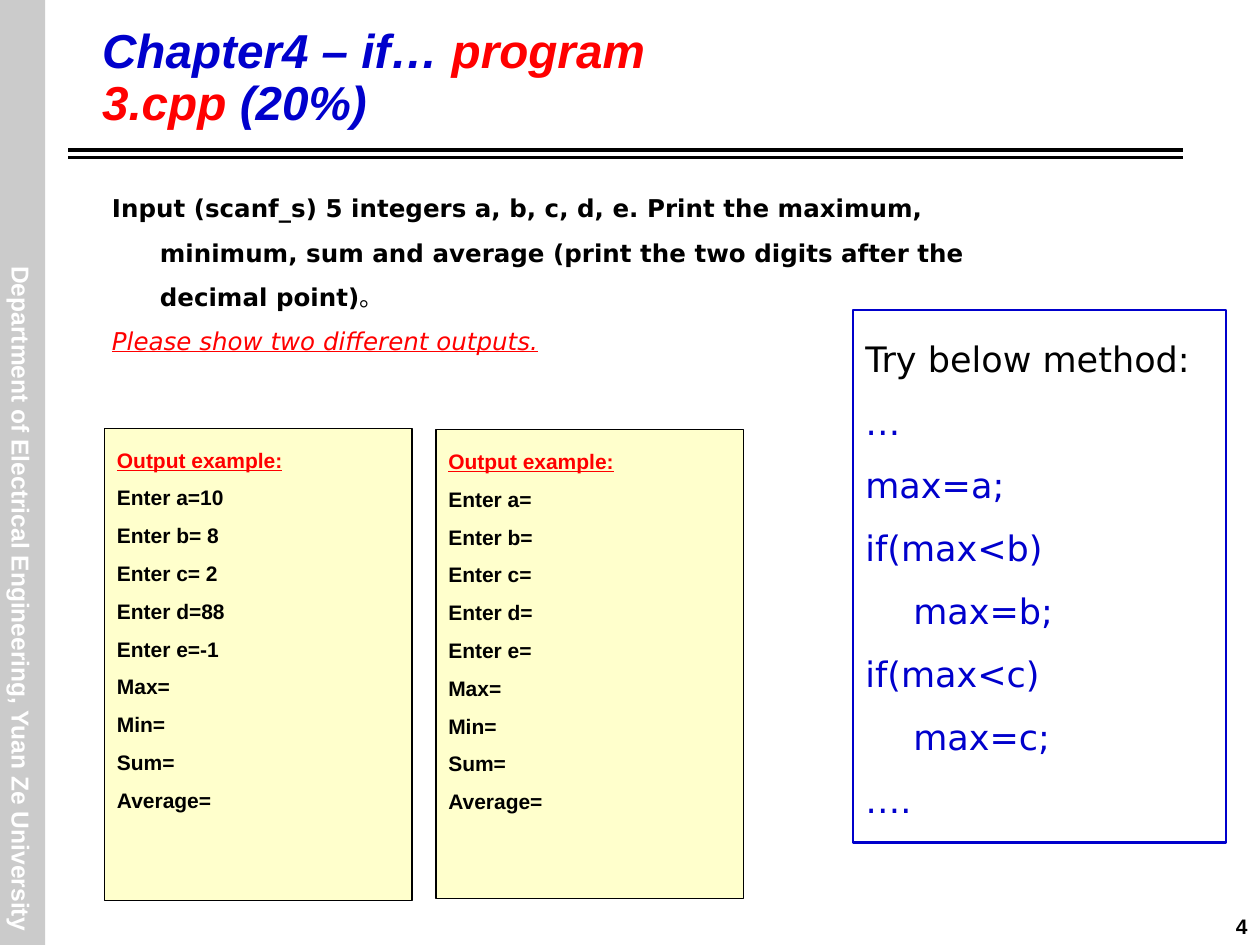
from pptx import Presentation
from pptx import util as u
from pptx.dml.color import RGBColor
from pptx.enum import shapes, text
from pptx.oxml.ns import qn
from lxml import etree

COLORS = {"blue": "0000CC", "red": "FF0000", "black": "000000",
          "white": "FFFFFF", "gray": "CBCBCB", "cream": "FFFFCC"}
SANS, WIDE = "Arial", "DejaVu Sans"
INDENT = 0.38

TITLE = [[("Chapter4 – if… ", "blue"), ("program", "red")],
         [("3.cpp ", "red"), ("(20%)", "blue")]]
SIDE_LABEL = "Department of Electrical Engineering, Yuan Ze University"
PAGE = "4"
TASK = ("Input (scanf_s) 5 integers a, b, c, d, e. Print the maximum, minimum, sum "
        "and average (print the two digits after the decimal point)")
TASK_END = "。"
REQUEST = "Please show two different outputs."
EXAMPLE_HEADING = "Output example:"
RESULTS = ["Max=", "Min=", "Sum=", "Average="]
EXAMPLES = [
    {"box": (0.83, 3.4, 2.44, 3.75), "inputs": ["10", " 8", " 2", "88", "-1"]},
    {"box": (3.46, 3.41, 2.44, 3.72), "inputs": [""] * 5},
]
METHOD_BOX = (6.77, 2.46, 2.96, 4.23)
METHOD_HEADING = "Try below method:"
METHOD = [("…", 0), ("max=a;", 0), ("if(max<b)", 0), ("max=b;", 1),
          ("if(max<c)", 0), ("max=c;", 1), ("….", 0)]


def color(name):
    return RGBColor.from_string(COLORS[name])


def inches(box):
    return [u.Inches(value) for value in box]


def style(run, size, name, font=SANS, bold=False, italic=False, underline=False):
    run.font.size = u.Pt(size)
    run.font.name = font
    run.font.bold = bold
    run.font.italic = italic
    run.font.underline = underline
    run.font.color.rgb = color(name)


def prepare(frame, anchor=text.MSO_ANCHOR.TOP, wrap=True):
    frame.word_wrap = wrap
    frame.auto_size = text.MSO_AUTO_SIZE.NONE
    frame.vertical_anchor = anchor


def write(frame, paragraphs, align=text.PP_ALIGN.LEFT, spacing=1.0, hanging=False):
    for index, (runs, level) in enumerate(paragraphs):
        paragraph = frame.paragraphs[0] if index == 0 else frame.add_paragraph()
        paragraph.alignment = align
        paragraph.line_spacing = spacing
        paragraph.space_before = u.Pt(0)
        if hanging:
            properties = paragraph._p.get_or_add_pPr()
            properties.set("marL", str(u.Inches(INDENT)))
            properties.set("indent", str(0 if level else -u.Inches(INDENT)))
        for words, look in runs:
            run = paragraph.add_run()
            run.text = words
            style(run, **look)


def add_text(slide, box, paragraphs, anchor=text.MSO_ANCHOR.TOP, wrap=True, **layout):
    shape = slide.shapes.add_textbox(*inches(box))
    prepare(shape.text_frame, anchor, wrap)
    write(shape.text_frame, paragraphs, **layout)
    return shape


def add_box(slide, box, fill=None, line=None, width=0.75):
    shape = slide.shapes.add_shape(shapes.MSO_SHAPE.RECTANGLE, *inches(box))
    shape.shadow.inherit = False
    if fill:
        shape.fill.solid()
        shape.fill.fore_color.rgb = color(fill)
    else:
        shape.fill.background()
    if line:
        shape.line.color.rgb = color(line)
        shape.line.width = u.Pt(width)
    else:
        shape.line.fill.background()
    prepare(shape.text_frame)
    return shape


def add_rule(slide, top):
    line = slide.shapes.add_connector(
        shapes.MSO_CONNECTOR.STRAIGHT, *inches((0.54, top, 9.39, top)))
    line.line.color.rgb = color("black")
    line.line.width = u.Pt(2.25)
    etree.SubElement(line._element.spPr, qn("a:effectLst"))


def add_title(slide):
    title = slide.shapes.title
    title.left, title.top, title.width, title.height = inches((0.71, 0.17, 8.5, 1.08))
    prepare(title.text_frame)
    write(title.text_frame,
          [([(words, dict(size=27.2, name=name, bold=True, italic=True))
             for words, name in row], 0) for row in TITLE], spacing=0.9)


def add_example(slide, example):
    shape = add_box(slide, example["box"], "cream", "black")
    entries = [f"Enter {name}={value}" for name, value in zip("abcde", example["inputs"])]
    heading = dict(size=12, name="red", bold=True, underline=True)
    body = dict(size=12, name="black", bold=True)
    rows = [([(EXAMPLE_HEADING, heading)], 0)]
    rows += [([(entry, body)], 0) for entry in entries + RESULTS]
    write(shape.text_frame, rows, spacing=1.5, hanging=True)


def main():
    presentation = Presentation()
    presentation.slide_width, presentation.slide_height = inches((10, 7.5))
    slide = presentation.slides.add_slide(presentation.slide_layouts[5])

    add_box(slide, (0, 0, 0.36, 7.5), "gray")
    for top in (1.19, 1.25):
        add_rule(slide, top)
    label = add_text(slide, (-2.6, 4.58, 5.54, 0.34),
                     [([(SIDE_LABEL, dict(size=14, name="white", bold=True))], 0)],
                     anchor=text.MSO_ANCHOR.MIDDLE, wrap=False, align=text.PP_ALIGN.CENTER)
    label.rotation = 90
    add_text(slide, (8.31, 7.1, 1.69, 0.5),
             [([(PAGE, dict(size=12, name="black", bold=True))], 0)],
             anchor=text.MSO_ANCHOR.MIDDLE, align=text.PP_ALIGN.RIGHT)

    add_title(slide)
    plain = dict(size=14, name="black", font=WIDE)
    request = dict(size=14, name="red", font=WIDE, italic=True, underline=True)
    add_text(slide, (0.79, 1.37, 7.69, 3.7),
             [([(TASK, dict(plain, bold=True)), (TASK_END, plain)], 0),
              ([(REQUEST, request)], 0)], spacing=1.5, hanging=True)

    for example in EXAMPLES:
        add_example(slide, example)

    method = add_box(slide, METHOD_BOX, line="blue", width=1.5)
    rows = [([(METHOD_HEADING, dict(size=20, name="black", font=WIDE))], 0)]
    rows += [([(code, dict(size=20, name="blue", font=WIDE))], level) for code, level in METHOD]
    write(method.text_frame, rows, spacing=1.5, hanging=True)

    presentation.save("out.pptx")


if __name__ == "__main__":
    main()
